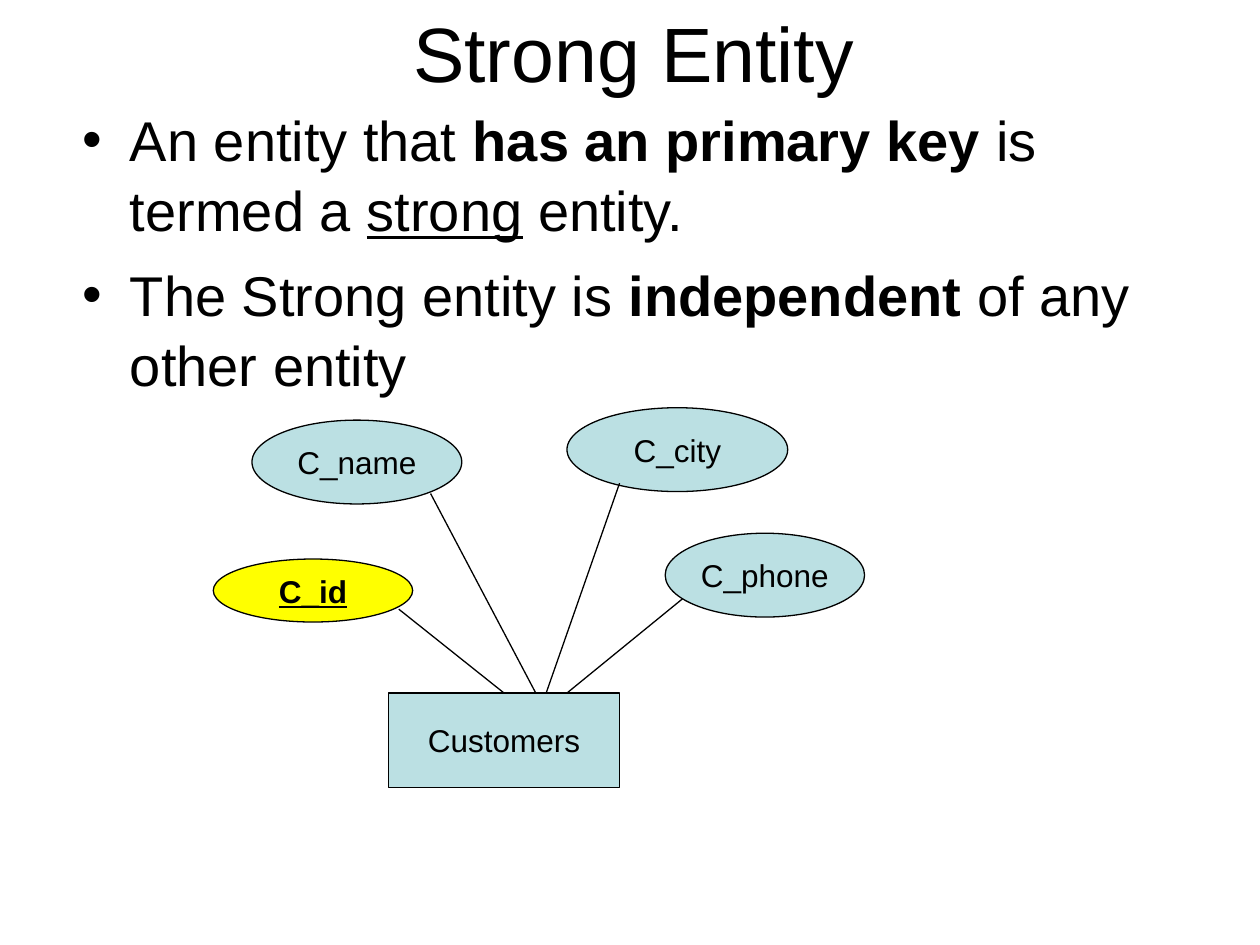
from lxml import etree
from pptx import Presentation
from pptx import util as u
from pptx.dml.color import RGBColor
from pptx.enum import shapes, text
from pptx.oxml.ns import qn


def color(value):
    return RGBColor.from_string(value)


class Sketch:
    font = "Arial"
    ink = "000000"
    pale = "BBE0E3"
    key = "FFFF00"
    line_width = 0.75

    def __init__(self, slide):
        self.slide = slide

    def style(self, font, size, bold=False, underline=False):
        font.name = self.font
        font.size = u.Pt(size)
        font.bold = bold
        font.underline = underline
        font.color.rgb = color(self.ink)

    def outline(self, line):
        line.color.rgb = color(self.ink)
        line.width = u.Pt(self.line_width)

    def text_box(self, left, top, width, height):
        box = self.slide.shapes.add_textbox(
            u.Cm(left), u.Cm(top), u.Cm(width), u.Cm(height))
        box.text_frame.word_wrap = True
        return box.text_frame

    def title(self, place, words):
        frame = self.text_box(*place)
        frame.vertical_anchor = text.MSO_ANCHOR.MIDDLE
        frame.text = words
        para = frame.paragraphs[0]
        para.alignment = text.PP_ALIGN.CENTER
        self.style(para.runs[0].font, 44)

    def bullets(self, place, items):
        frame = self.text_box(*place)
        for index, spans in enumerate(items):
            para = frame.add_paragraph() if index else frame.paragraphs[0]
            para.line_spacing = 1.05
            para.space_before = u.Pt(8 if index else 0)
            indent = u.Cm(0.95)
            properties = para._p.get_or_add_pPr()
            properties.set("marL", str(indent))
            properties.set("indent", str(-indent))
            etree.SubElement(properties, qn("a:buFont"), typeface=self.font)
            etree.SubElement(properties, qn("a:buChar"), char="•")
            for words, look in spans:
                span = para.add_run()
                span.text = words
                self.style(span.font, 32, **look)

    def node(self, kind, place, words, fill=pale, **look):
        shape = self.slide.shapes.add_shape(kind, *map(u.Cm, place))
        shape.shadow.inherit = False
        shape.fill.solid()
        shape.fill.fore_color.rgb = color(fill)
        self.outline(shape.line)
        frame = shape.text_frame
        frame.word_wrap = False
        frame.vertical_anchor = text.MSO_ANCHOR.MIDDLE
        frame.text = words
        para = frame.paragraphs[0]
        para.alignment = text.PP_ALIGN.CENTER
        self.style(para.runs[0].font, 18, **look)
        return shape

    def link(self, start, end):
        line = self.slide.shapes.add_connector(
            shapes.MSO_CONNECTOR.STRAIGHT, *map(u.Cm, start + end))
        self.outline(line.line)
        etree.SubElement(line._element.spPr, qn("a:effectLst"))
        return line


def main():
    deck = Presentation()
    deck.slide_width, deck.slide_height = u.Cm(25.4), u.Cm(19.05)
    sketch = Sketch(deck.slides.add_slide(deck.slide_layouts[6]))
    bold, underline = {"bold": True}, {"underline": True}

    sketch.title((1.35, 0.25, 22.86, 1.57), "Strong Entity")
    sketch.bullets((1.42, 1.93, 22.86, 15.01), [
        [("An entity that ", {}), ("has an primary key ", bold),
         ("is termed a ", {}), ("strong", underline), (" entity.", {})],
        [("The Strong entity is ", {}), ("independent", bold),
         (" of any other entity", {})],
    ])

    entity_top = 13.97
    customers = sketch.node(shapes.MSO_SHAPE.RECTANGLE,
                            (7.83, entity_top, 4.66, 1.9), "Customers")
    oval = shapes.MSO_SHAPE.OVAL
    for place, words in [
        ((5.08, 8.47, 4.23, 1.69), "C_name"),
        ((11.43, 8.22, 4.45, 1.69), "C_city"),
        ((13.41, 10.75, 4.02, 1.69), "C_phone"),
    ]:
        sketch.node(oval, place, words)
    sketch.node(oval, (4.3, 11.27, 4.02, 1.27), "C_id", sketch.key,
                bold=True, underline=True)

    key_link = sketch.link((10.16, entity_top), (8.04, 12.28))
    key_link.begin_connect(customers, 0)
    for start, end in [
        (10.8, (8.68, 9.95)),
        (11.43, (13.76, 12.07)),
        (11.01, (12.49, 9.74)),
    ]:
        sketch.link((start, entity_top), end)

    deck.save("out.pptx")


if __name__ == "__main__":
    main()
